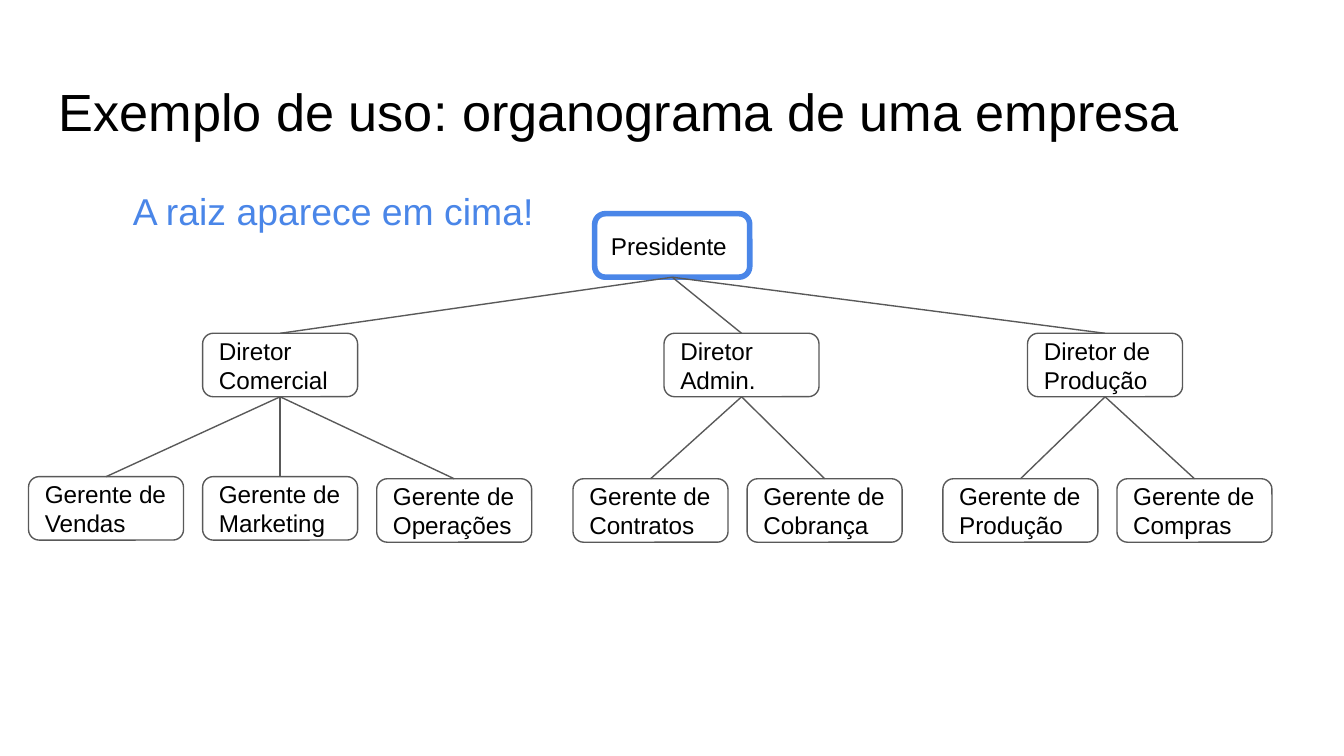
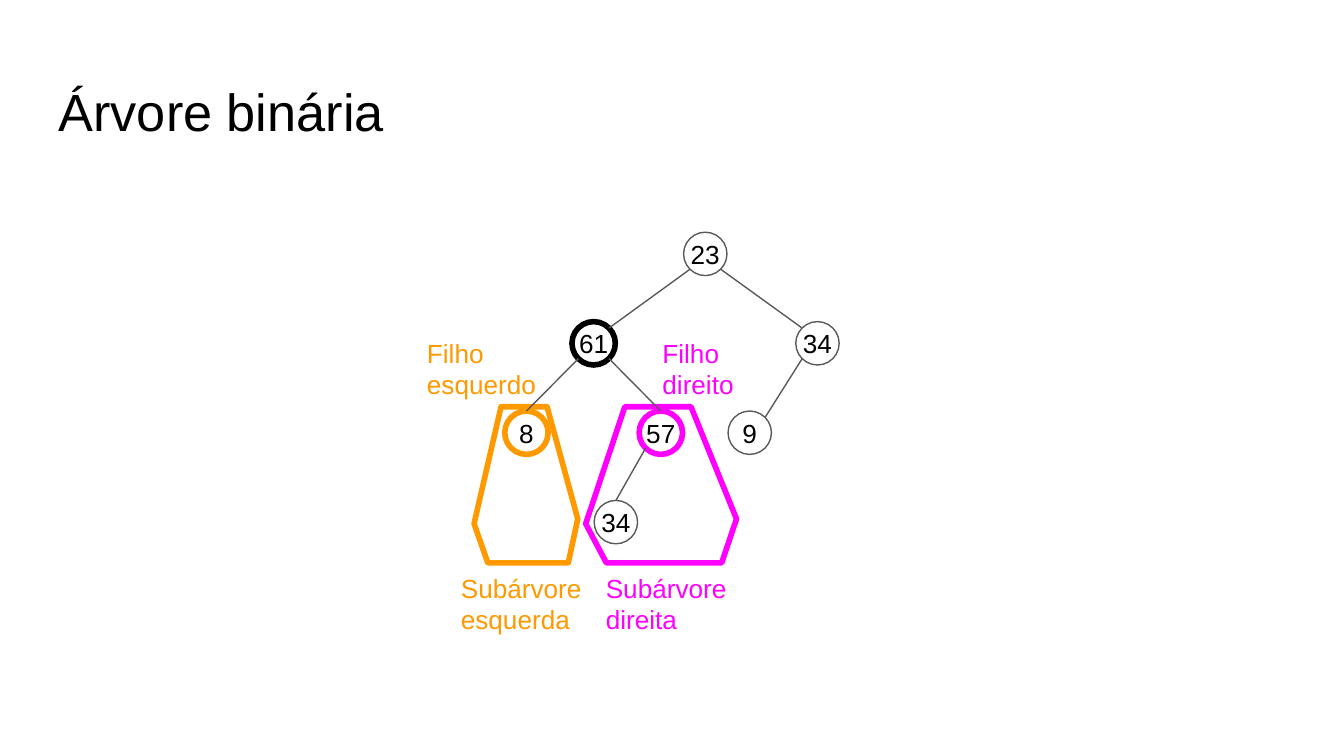
from dataclasses import dataclass
from typing import Optional

from lxml import etree
from pptx import Presentation
from pptx import util as u
from pptx.dml.color import RGBColor
from pptx.enum import shapes, text
from pptx.oxml import ns

BLACK = RGBColor(0x00, 0x00, 0x00)
GRAY = RGBColor(0x59, 0x59, 0x59)
BLUE = RGBColor(0x4A, 0x86, 0xE8)
ORANGE = RGBColor(0xFF, 0x99, 0x00)
MAGENTA = RGBColor(0xFF, 0x00, 0xFF)

FONT = "Arial"
THIN, THICK = 0.75, 3
INSET = 0.25
TITLE_ONLY = 5

POST_WIDTH, POST_HEIGHT = 2.93, 1.2
POST_STEP = 3.29
DIRECTOR_TOP = 6.3

NODE_SIZE = 0.82
LEVEL_TOP, LEVEL_STEP = 4.39, 1.69
DIAGONAL = 0.35 * NODE_SIZE


@dataclass(frozen=True)
class Department:
    director: str
    left: float
    managers: tuple[str, ...]
    first_left: float
    tops: tuple[float, ...]


@dataclass(frozen=True)
class Node:
    value: str
    center: float
    level: int
    color: RGBColor = GRAY
    weight: float = THIN
    parent: Optional[int] = None
    joins_top: bool = False

    @property
    def top(self) -> float:
        return LEVEL_TOP + self.level * LEVEL_STEP

    @property
    def middle(self) -> float:
        return self.top + NODE_SIZE / 2


@dataclass(frozen=True)
class Label:
    words: str
    left: float
    top: float
    color: RGBColor
    width: float = 2.87
    height: float = 1.17
    size: float = 14


@dataclass(frozen=True)
class Subtree:
    color: RGBColor
    corners: tuple[tuple[float, float], ...]


DEPARTMENTS = (
    Department("Diretor Comercial", 3.83,
               ("Gerente de Vendas", "Gerente de Marketing", "Gerente de Operações"),
               0.54, (9.01, 9.01, 9.05)),
    Department("Diretor Admin.", 12.55,
               ("Gerente de Contratos", "Gerente de Cobrança"), 10.83, (9.05, 9.05)),
    Department("Diretor de Produção", 19.42,
               ("Gerente de Produção", "Gerente de Compras"), 17.82, (9.05, 9.05)),
)

ROOT_NOTE = Label("A raiz aparece em cima!", 2.26, 3.3, BLUE, 8.13, 1.17, 20)

NODES = (
    Node("23", 13.33, 0),
    Node("61", 11.22, 1, BLACK, THICK, parent=0),
    Node("34", 15.45, 1, parent=0),
    Node("8", 9.95, 2, ORANGE, THICK, parent=1, joins_top=True),
    Node("57", 12.49, 2, MAGENTA, THICK, parent=1, joins_top=True),
    Node("9", 14.17, 2, parent=2),
    Node("34", 11.64, 3, parent=4, joins_top=True),
)

SUBTREES = (
    Subtree(MAGENTA, ((11.81, 7.69), (11.07, 9.9), (11.46, 10.64),
                      (13.64, 10.64), (13.92, 9.81), (13.06, 7.69))),
    Subtree(ORANGE, ((9.47, 7.69), (8.96, 9.9), (9.22, 10.64),
                     (10.74, 10.64), (10.92, 9.81), (10.34, 7.69))),
)

LABELS = (
    Label("Subárvore esquerda", 8.46, 10.57, ORANGE),
    Label("Subárvore direita", 11.2, 10.57, MAGENTA),
    Label("Filho esquerdo", 7.82, 6.12, ORANGE),
    Label("Filho direito", 12.27, 6.12, MAGENTA),
)


def write(box, words: str, size: float, color: RGBColor = BLACK, inset: float = INSET,
          anchor=text.MSO_ANCHOR.TOP, align=text.PP_ALIGN.LEFT, wrap: bool = True) -> None:
    frame = box.text_frame
    frame.text = words
    frame.word_wrap = wrap
    frame.auto_size = text.MSO_AUTO_SIZE.NONE
    frame.vertical_anchor = anchor
    frame.margin_left = frame.margin_right = u.Cm(inset)
    frame.margin_top = frame.margin_bottom = u.Cm(inset)
    para = frame.paragraphs[0]
    para.alignment = align
    para.font.name = FONT
    para.font.size = u.Pt(size)
    para.font.color.rgb = color


def outline(shape, color: RGBColor, weight: float) -> None:
    shape.shadow.inherit = False
    shape.fill.background()
    shape.line.color.rgb = color
    shape.line.width = u.Pt(weight)


def add_page(deck, title: str):
    page = deck.slides.add_slide(deck.slide_layouts[TITLE_ONLY])
    box = page.shapes.title
    box.left, box.top = u.Cm(0.86), u.Cm(1.24)
    box.width, box.height = u.Cm(23.67), u.Cm(1.6)
    write(box, title, 28)
    return page


def add_label(page, label: Label) -> None:
    box = page.shapes.add_textbox(u.Cm(label.left), u.Cm(label.top),
                                  u.Cm(label.width), u.Cm(label.height))
    write(box, label.words, label.size, label.color)


def add_edge(page, x1: float = 0, y1: float = 0, x2: float = 0, y2: float = 0):
    edge = page.shapes.add_connector(shapes.MSO_CONNECTOR.STRAIGHT,
                                     u.Cm(x1), u.Cm(y1), u.Cm(x2), u.Cm(y2))
    edge.line.color.rgb = GRAY
    edge.line.width = u.Pt(THIN)
    etree.SubElement(edge._element.spPr, ns.qn("a:effectLst"))
    return edge


def add_post(page, words: str, left: float, top: float,
             color: RGBColor = GRAY, weight: float = THIN, boss=None):
    post = page.shapes.add_shape(shapes.MSO_SHAPE.ROUNDED_RECTANGLE, u.Cm(left), u.Cm(top),
                                 u.Cm(POST_WIDTH), u.Cm(POST_HEIGHT))
    outline(post, color, weight)
    write(post, words, 13, anchor=text.MSO_ANCHOR.MIDDLE)
    if boss is not None:
        edge = add_edge(page)
        edge.begin_connect(boss, 2)
        edge.end_connect(post, 0)
    return post


def add_node(page, node: Node) -> None:
    circle = page.shapes.add_shape(shapes.MSO_SHAPE.OVAL, u.Cm(node.center - NODE_SIZE / 2),
                                   u.Cm(node.top), u.Cm(NODE_SIZE), u.Cm(NODE_SIZE))
    outline(circle, node.color, node.weight)
    write(circle, node.value, 14, inset=0, anchor=text.MSO_ANCHOR.MIDDLE,
          align=text.PP_ALIGN.CENTER, wrap=False)


def join_parent(page, node: Node) -> None:
    parent = NODES[node.parent]
    side = DIAGONAL if node.center > parent.center else -DIAGONAL
    if node.joins_top:
        end = (node.center, node.top)
    else:
        end = (node.center - side, node.middle - DIAGONAL)
    add_edge(page, parent.center + side, parent.middle + DIAGONAL, *end)


def add_subtree(page, subtree: Subtree) -> None:
    start, *others = [(u.Cm(x), u.Cm(y)) for x, y in subtree.corners]
    builder = page.shapes.build_freeform(*start)
    builder.add_line_segments(others, close=True)
    outline(builder.convert_to_shape(), subtree.color, THICK)


def build_organogram(deck) -> None:
    page = add_page(deck, "Exemplo de uso: organograma de uma empresa")
    add_label(page, ROOT_NOTE)
    president = add_post(page, "Presidente", 11.24, 4.04, BLUE, THICK)
    for department in DEPARTMENTS:
        director = add_post(page, department.director, department.left, DIRECTOR_TOP,
                            boss=president)
        for i, (manager, top) in enumerate(zip(department.managers, department.tops)):
            add_post(page, manager, department.first_left + i * POST_STEP, top, boss=director)


def build_binary_tree(deck) -> None:
    page = add_page(deck, "Árvore binária")
    for subtree in SUBTREES:
        add_subtree(page, subtree)
    for node in NODES:
        add_node(page, node)
    for node in NODES:
        if node.parent is not None:
            join_parent(page, node)
    for label in LABELS:
        add_label(page, label)


def main() -> None:
    deck = Presentation()
    deck.slide_width, deck.slide_height = u.Cm(25.4), u.Cm(14.29)
    build_organogram(deck)
    build_binary_tree(deck)
    deck.save("out.pptx")


if __name__ == "__main__":
    main()
